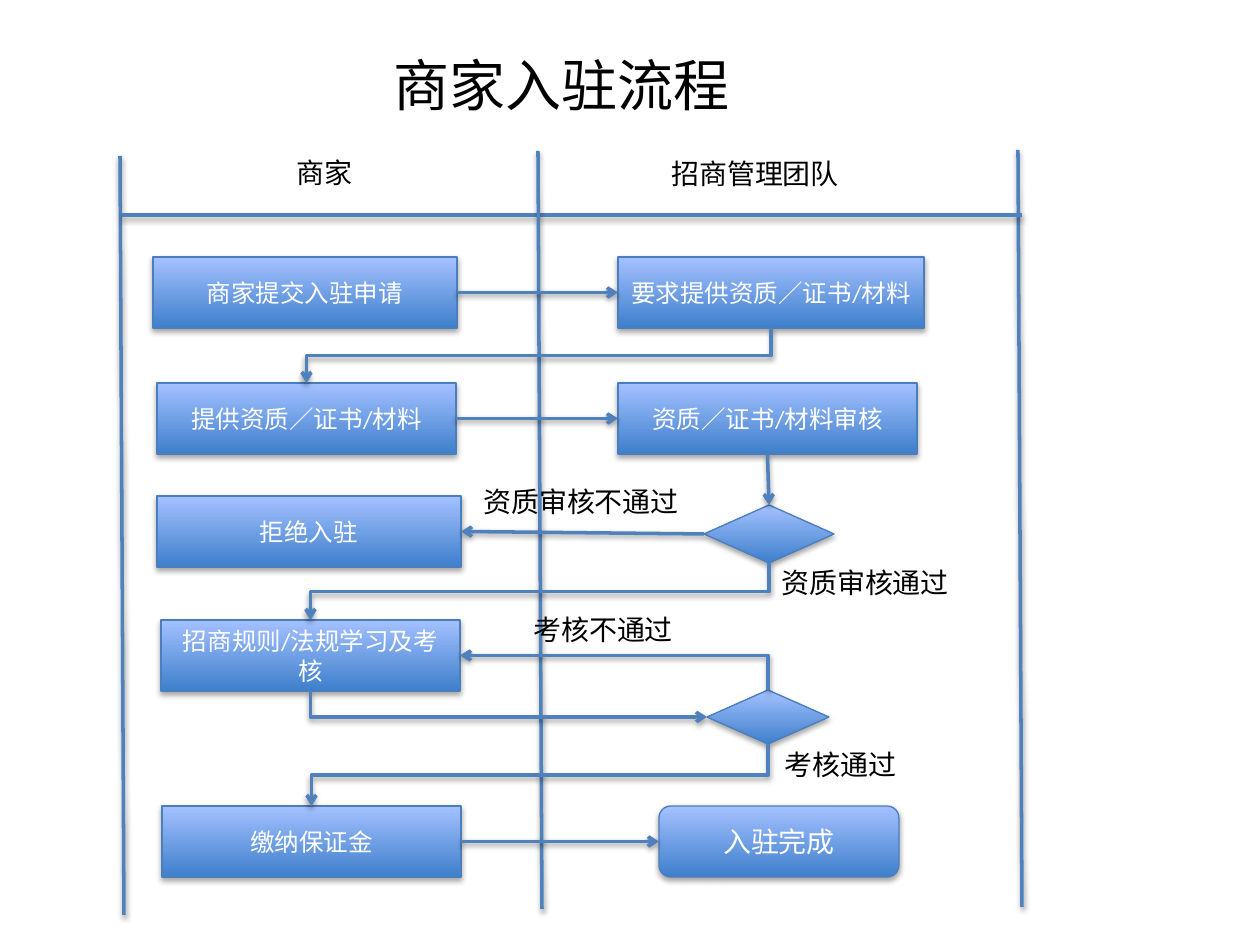
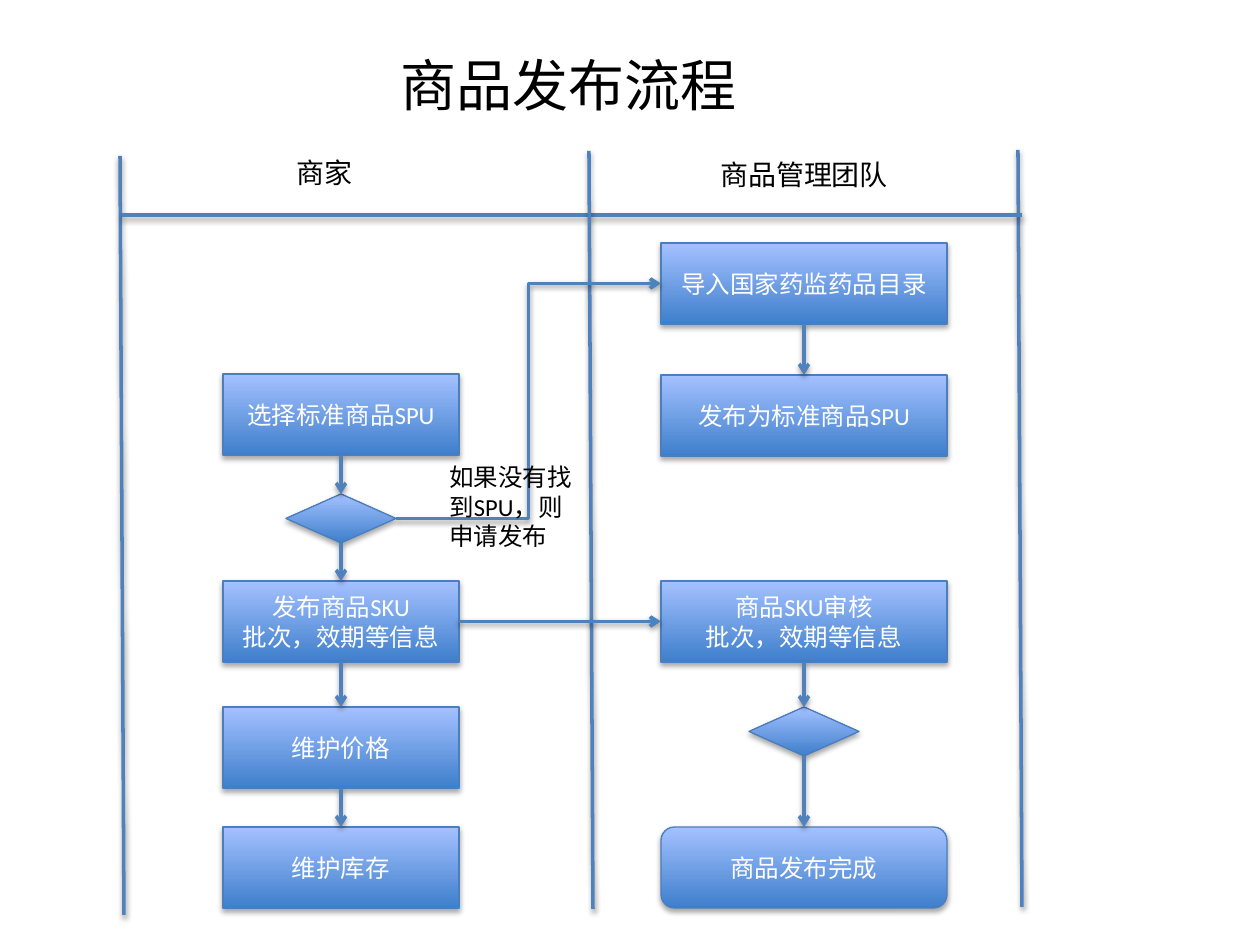
from pptx import Presentation
from pptx.dml.color import RGBColor
from pptx.enum.shapes import MSO_CONNECTOR as Wire, MSO_SHAPE as Form
from pptx.enum.text import MSO_AUTO_SIZE as Auto, MSO_ANCHOR as Anchor, PP_ALIGN as Align
from pptx.oxml.ns import qn
from pptx.util import Emu, Pt
from lxml.etree import SubElement

BLUE, EDGE, WHITE, BLACK = "4F81BD", "4B7EBC", "FFFFFF", "000000"
FACE = "Calibri"
TOP, LEFT, BOTTOM, RIGHT = range(4)
RECT, GEM, ROUND = Form.RECTANGLE, Form.DIAMOND, Form.ROUNDED_RECTANGLE
ROUTES = {
    "drop": ("bentConnector3", 90, "0", "0"),
    "rise": ("bentConnector2", 270, "0", "1"),
    "turn": ("bentConnector2", 270, "1", "0"),
}
LANES = [(120, 156, 124, 915), (1018, 150, 1022, 907), (122, 215, 1022, 215)]

FLOWS = [
    {
        "title": ("商家入驻流程", (102, 18, 920, 132)),
        "split": 538,
        "nodes": {
            "apply": (RECT, 153, 257, 304, 71, "商家提交入驻申请", 14),
            "ask": (RECT, 618, 257, 306, 71, "要求提供资质／证书/材料", 14),
            "give": (RECT, 157, 383, 299, 71, "提供资质／证书/材料", 14),
            "check": (RECT, 618, 383, 299, 71, "资质／证书/材料审核", 14),
            "valid": (GEM, 704, 505, 130, 58, "", 14),
            "refuse": (RECT, 157, 496, 304, 71, "拒绝入驻", 14),
            "learn": (RECT, 161, 620, 299, 71, "招商规则/法规学习及考核", 14),
            "exam": (GEM, 707, 690, 122, 54, "", 14),
            "pay": (RECT, 162, 806, 299, 71, "缴纳保证金", 14),
            "done": (ROUND, 659, 806, 240, 71, "入驻完成", 16),
        },
        "links": [
            ("apply", RIGHT, "ask", LEFT, None),
            ("ask", BOTTOM, "give", TOP, "drop"),
            ("give", RIGHT, "check", LEFT, None),
            ("check", BOTTOM, "valid", TOP, None),
            ("valid", LEFT, "refuse", RIGHT, None),
            ("valid", BOTTOM, "learn", TOP, "drop"),
            ("exam", TOP, "learn", RIGHT, "rise"),
            ("learn", BOTTOM, "exam", LEFT, "turn"),
            ("exam", BOTTOM, "pay", TOP, "drop"),
            ("pay", RIGHT, "done", LEFT, None),
        ],
        "labels": [
            ("商家", 284, 149, 122, 47, 16),
            ("招商管理团队", 659, 150, 239, 47, 16),
            ("资质审核不通过", 471, 478, 246, 47, 16),
            ("资质审核通过", 769, 559, 246, 47, 16),
            ("考核不通过", 521, 606, 246, 47, 16),
            ("考核通过", 772, 741, 246, 47, 16),
        ],
    },
    {
        "title": ("商品发布流程", (120, 20, 898, 129)),
        "split": 589,
        "nodes": {
            "import": (RECT, 661, 243, 286, 81, "导入国家药监药品目录", 14),
            "issue": (RECT, 661, 375, 286, 81, "发布为标准商品SPU", 14),
            "pick": (RECT, 223, 374, 236, 81, "选择标准商品SPU", 14),
            "found": (GEM, 286, 494, 110, 49, "", 14),
            "post": (RECT, 223, 581, 236, 81, "发布商品SKU\n批次，效期等信息", 14),
            "price": (RECT, 223, 707, 236, 81, "维护价格", 14),
            "stock": (RECT, 223, 827, 236, 81, "维护库存", 14),
            "audit": (RECT, 661, 581, 286, 81, "商品SKU审核\n批次，效期等信息", 14),
            "pass": (GEM, 749, 707, 110, 49, "", 14),
            "done": (ROUND, 661, 827, 286, 81, "商品发布完成", 14),
        },
        "links": [
            ("import", BOTTOM, "issue", TOP, None),
            ("pick", BOTTOM, "found", TOP, None),
            ("found", RIGHT, "import", LEFT, "step"),
            ("found", BOTTOM, "post", TOP, None),
            ("post", BOTTOM, "price", TOP, None),
            ("price", BOTTOM, "stock", TOP, None),
            ("post", RIGHT, "audit", LEFT, None),
            ("audit", BOTTOM, "pass", TOP, None),
            ("pass", BOTTOM, "done", TOP, None),
        ],
        "labels": [
            ("商家", 284, 149, 122, 47, 16),
            ("商品管理团队", 708, 151, 239, 47, 16),
            ("如果没有找到SPU，则申请发布", 437, 456, 156, 102, 14),
        ],
    },
]


def px(n):
    return Emu(round(n * 914400 / 126))


def color(code):
    return RGBColor.from_string(code)


def apply(thing, **style):
    for key, value in style.items():
        setattr(thing, key, value)


def write(shape, text, size, ink, align):
    frame = shape.text_frame
    frame.text = text
    for para in frame.paragraphs:
        para.alignment = align
        apply(para.font, name=FACE, size=Pt(size))
        para.font.color.rgb = color(ink)
    return frame


def stroke(shape, code, width):
    shape.line.color.rgb = color(code)
    shape.line.width = Pt(width)


def wire(slide, kind, ends=(0, 0, 0, 0)):
    line = slide.shapes.add_connector(kind, *map(px, ends))
    stroke(line, BLUE, 2)
    return line


def bend(line, route):
    form, angle, across, down = ROUTES[route]
    wide, high = line.width, line.height
    midx, midy = line.left + wide // 2, line.top + high // 2
    apply(line, left=midx - high // 2, top=midy - wide // 2, width=high, height=wide)
    props = line._element.spPr
    frame = props.find(qn("a:xfrm"))
    for key, value in (("rot", str(angle * 60000)), ("flipH", across), ("flipV", down)):
        frame.set(key, value)
    props.find(qn("a:prstGeom")).set("prst", form)


def link(slide, made, start, out, stop, into, route):
    line = wire(slide, Wire.ELBOW if route else Wire.STRAIGHT)
    line.begin_connect(made[start], out)
    line.end_connect(made[stop], into)
    if route in ROUTES:
        bend(line, route)
    SubElement(line._element.spPr.find(qn("a:ln")), qn("a:tailEnd"), type="arrow")


def node(slide, form, x, y, w, h, text, size):
    shape = slide.shapes.add_shape(form, *map(px, (x, y, w, h)))
    stroke(shape, EDGE, 0.75)
    if text:
        write(shape, text, size, WHITE, Align.CENTER)
    return shape


def label(slide, text, x, y, w, h, size):
    box = slide.shapes.add_textbox(*map(px, (x, y, w, h)))
    frame = write(box, text, size, BLACK, Align.LEFT)
    apply(frame, word_wrap=True, auto_size=Auto.SHAPE_TO_FIT_TEXT)


def draw(deck, flow):
    slide = deck.slides.add_slide(deck.slide_layouts[5])
    text, place = flow["title"]
    head = slide.shapes.title
    apply(head, **dict(zip(("left", "top", "width", "height"), map(px, place))))
    write(head, text, 32, BLACK, Align.CENTER).vertical_anchor = Anchor.MIDDLE
    mid = flow["split"]
    for ends in LANES + [(mid, 151, mid + 4, 909)]:
        wire(slide, Wire.STRAIGHT, ends)
    made = {key: node(slide, *data) for key, data in flow["nodes"].items()}
    for data in flow["links"]:
        link(slide, made, *data)
    for data in flow["labels"]:
        label(slide, *data)


deck = Presentation()
apply(deck, slide_width=px(1260), slide_height=px(945))
for flow in FLOWS:
    draw(deck, flow)
deck.save("out.pptx")
